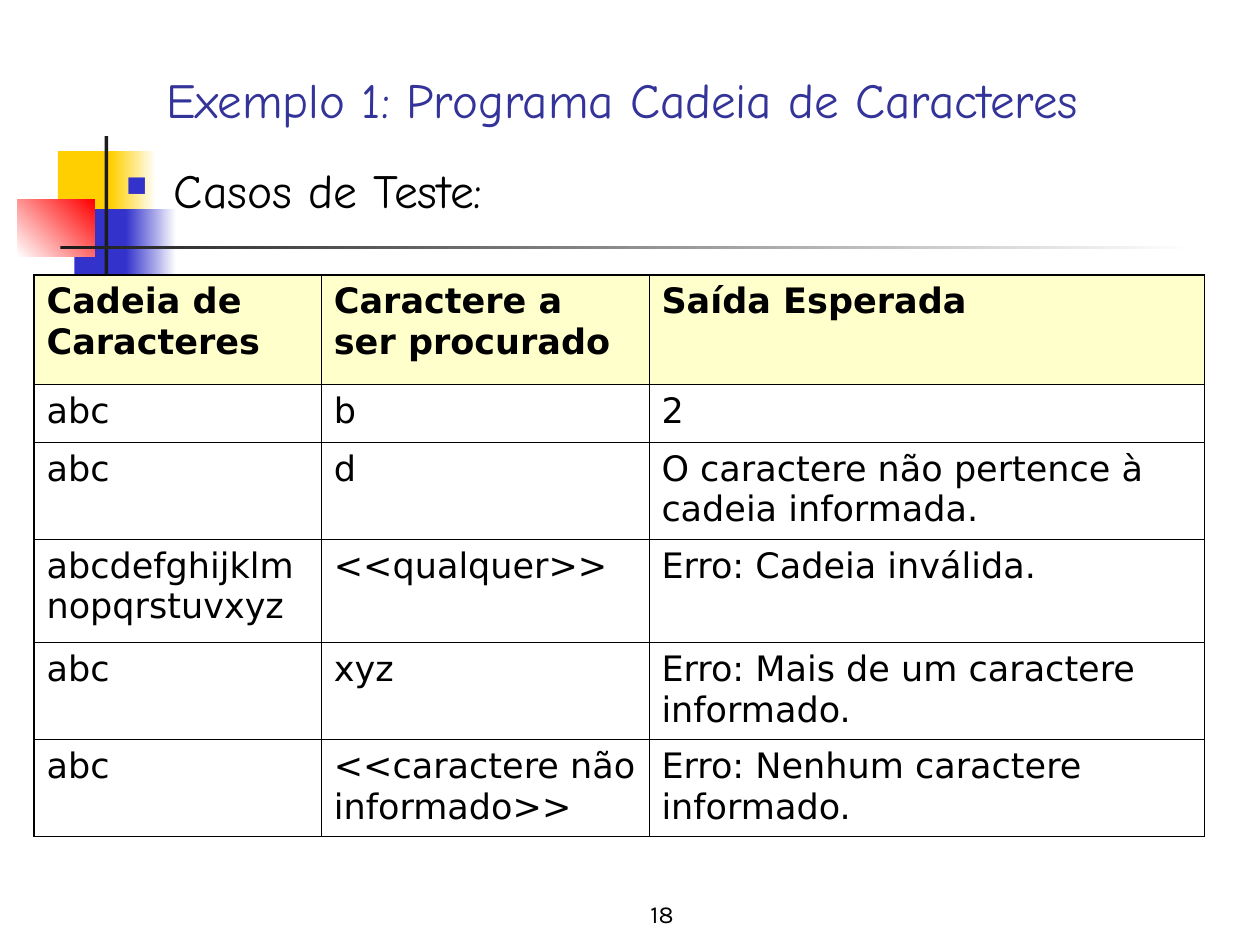
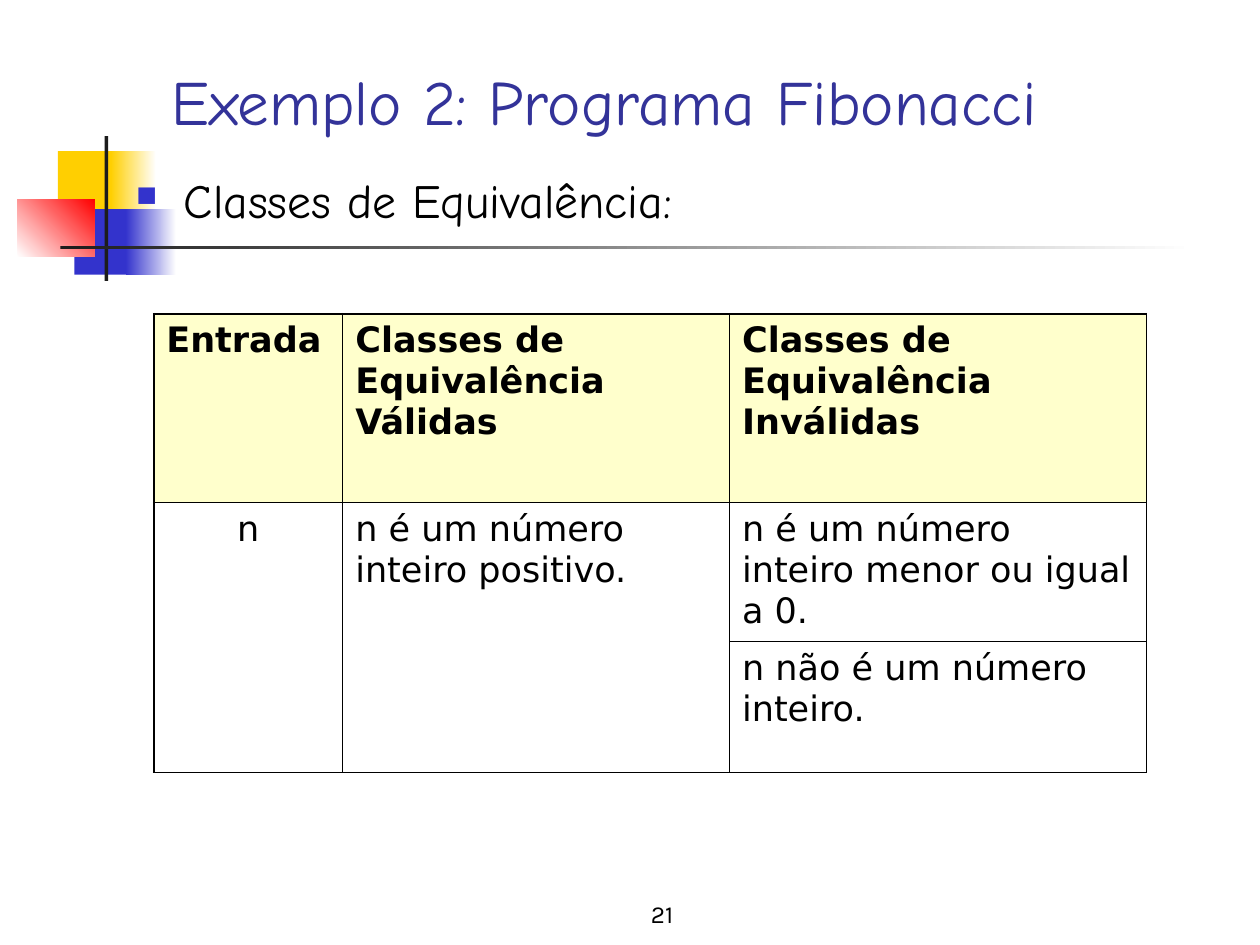
"""Build two test-case slides with a shared decorative band, title style and table style."""
from dataclasses import dataclass

from lxml import etree
from pptx import Presentation
from pptx.dml.color import RGBColor
from pptx.enum.shapes import MSO_SHAPE
from pptx.enum.text import MSO_ANCHOR, MSO_AUTO_SIZE, PP_ALIGN
from pptx.oxml.ns import qn
from pptx.util import Inches, Pt

RECT = MSO_SHAPE.RECTANGLE
LEFT, CENTER = PP_ALIGN.LEFT, PP_ALIGN.CENTER
TOP, BOTTOM = MSO_ANCHOR.TOP, MSO_ANCHOR.BOTTOM
NO_FIT = MSO_AUTO_SIZE.NONE


@dataclass(frozen=True)
class Theme:
    title: str = "333399"
    text: str = "000000"
    blue: str = "3333CC"
    yellow: str = "FFCF01"
    red: str = "FF0000"
    dark: str = "1C1C1C"
    white: str = "FFFFFF"
    header: str = "FFFFCC"
    hand_font: str = "Comic Neue"
    table_font: str = "DejaVu Sans"
    number_font: str = "Karla"
    body_size: float = 27.2
    table_size: float = 20
    number_size: float = 14
    outer_line: float = 1.08
    inner_line: float = 0.45


T = Theme()


def write(tf, text, font, size, color=T.text, bold=False, align=LEFT, anchor=TOP, bullet=False):
    """Fill a text frame with one formatted paragraph."""
    tf.text = text
    tf.word_wrap = True
    tf.vertical_anchor = anchor
    p = tf.paragraphs[0]
    p.alignment = align
    p.space_before = Pt(0)
    if bullet:
        pPr = p._p.get_or_add_pPr()
        pPr.set("marL", str(Inches(0.38)))
        pPr.set("indent", str(Inches(-0.38)))
        clr = etree.SubElement(pPr, qn("a:buClr"))
        etree.SubElement(clr, qn("a:srgbClr"), val=T.blue)
        etree.SubElement(pPr, qn("a:buSzPct"), val="60000")
        etree.SubElement(pPr, qn("a:buFont"), typeface="Wingdings")
        etree.SubElement(pPr, qn("a:buChar"), char="n")
    f = p.runs[0].font
    f.name, f.size, f.bold = font, Pt(size), bold
    f.color.rgb = RGBColor.from_string(color)


def place(sp, *box):
    """Move a shape to left, top, width and height in inches."""
    sp.left, sp.top, sp.width, sp.height = map(Inches, box)


bands = [
    ((0.46, 1.2, 0.48, 0.52), [T.yellow], 0),
    ((0.88, 1.2, 0.36, 0.52), [T.yellow, T.white], 0),
    ((0.59, 1.66, 0.46, 0.52), [T.blue], 0),
    ((1, 1.66, 0.4, 0.52), [T.blue, T.white], 0),
    ((0.14, 1.58, 0.61, 0.46), [T.white, T.red], 45),
    ((0.83, 1.08, 0.03, 1.15), [T.dark], 0),
    ((0.48, 1.95, 9, 0.03), [T.dark, T.white], 0),
]

pages = [
    dict(
        number="18",
        title="Exemplo 1: Programa Cadeia de Caracteres",
        title_box=(1.22, 0.28, 8.52, 0.79),
        title_size=28,
        body="Casos de Teste:",
        body_box=(0.9, 1.23, 8.1, 0.59),
        origin=(0.27, 2.18),
        widths=[2.28, 2.6, 4.41],
        heights=[0.87, 0.46, 0.77, 0.82, 0.77, 0.77],
        rows=[
            ["Cadeia de Caracteres", "Caractere a ser procurado", "Saída Esperada"],
            ["abc", "b", "2"],
            ["abc", "d", "O caractere não pertence à cadeia informada."],
            ["abcdefghijklmnopqrstuvxyz", "<<qualquer>>", "Erro: Cadeia inválida."],
            ["abc", "xyz", "Erro: Mais de um caractere informado."],
            ["abc", "<<caractere não informado>>", "Erro: Nenhum caractere informado."],
        ],
        merged_cols=[],
        centered=[],
    ),
    dict(
        number="21",
        title="Exemplo 2: Programa Fibonacci",
        title_box=(1.26, 0.67, 8.52, 0.48),
        title_size=36,
        body="Classes de Equivalência:",
        body_box=(0.98, 1.31, 8.1, 0.59),
        origin=(1.22, 2.49),
        widths=[1.5, 3.07, 3.31],
        heights=[1.5, 1.1, 1.04],
        rows=[
            ["Entrada", "Classes de Equivalência Válidas", "Classes de Equivalência Inválidas"],
            ["n", "n é um número inteiro positivo.", "n é um número inteiro menor ou igual a 0."],
            ["", "", "n não é um número inteiro."],
        ],
        merged_cols=[0, 1],
        centered=["n"],
    ),
]

prs = Presentation()
prs.slide_width, prs.slide_height = Inches(10), Inches(7.5)
layout = prs.slide_layouts[1]
slides = [prs.slides.add_slide(layout) for _ in pages]

for box, colors, angle in bands:
    sp = slides[0].shapes.add_shape(RECT, *map(Inches, box))
    sp.shadow.inherit = False
    sp.line.fill.background()
    if len(colors) == 1:
        sp.fill.solid()
        sp.fill.fore_color.rgb = RGBColor.from_string(colors[0])
    else:
        sp.fill.gradient()
        sp.fill.gradient_angle = angle
        for stop, color in zip(sp.fill.gradient_stops, colors):
            stop.color.rgb = RGBColor.from_string(color)
    layout.shapes.element.append(sp.element)

for s, page in zip(slides, pages):
    number = s.shapes.add_textbox(*map(Inches, (3.67, 6.92, 3.17, 0.5)))
    write(number.text_frame, page["number"], T.number_font, T.number_size,
          align=CENTER, anchor=BOTTOM)

    title, body = s.shapes.title, s.placeholders[1]
    place(title, *page["title_box"])
    write(title.text_frame, page["title"], T.hand_font, page["title_size"], T.title, anchor=BOTTOM)
    place(body, *page["body_box"])
    write(body.text_frame, page["body"], T.hand_font, T.body_size, bullet=True)
    title.text_frame.auto_size = body.text_frame.auto_size = NO_FIT

    rows, widths, heights = page["rows"], page["widths"], page["heights"]
    n_rows, n_cols = len(rows), len(widths)
    size = (sum(widths), sum(heights))
    table = s.shapes.add_table(n_rows, n_cols, *map(Inches, page["origin"] + size)).table
    table.horz_banding = False
    for col, width in zip(table.columns, widths):
        col.width = Inches(width)
    for row, height in zip(table.rows, heights):
        row.height = Inches(height)
    for c in page["merged_cols"]:
        table.cell(1, c).merge(table.cell(n_rows - 1, c))

    for r, texts in enumerate(rows):
        for c, text in enumerate(texts):
            cell = table.cell(r, c)
            if text:
                write(cell.text_frame, text, T.table_font, T.table_size, bold=r == 0,
                      align=CENTER if text in page["centered"] else LEFT)
            outer = {
                "L": c == 0,
                "R": c == n_cols - 1,
                "T": r == 0,
                "B": r + cell.span_height == n_rows,
            }
            tcPr = cell._tc.get_or_add_tcPr()
            for side, is_outer in outer.items():
                if side == "T" and cell.is_spanned:
                    continue
                width = Pt(T.outer_line if is_outer else T.inner_line)
                ln = etree.SubElement(tcPr, qn(f"a:ln{side}"), w=str(width))
                fill = etree.SubElement(ln, qn("a:solidFill"))
                etree.SubElement(fill, qn("a:srgbClr"), val=T.text)
            if r == 0:
                cell.fill.solid()
                cell.fill.fore_color.rgb = RGBColor.from_string(T.header)
            else:
                cell.fill.background()

prs.save("out.pptx")
